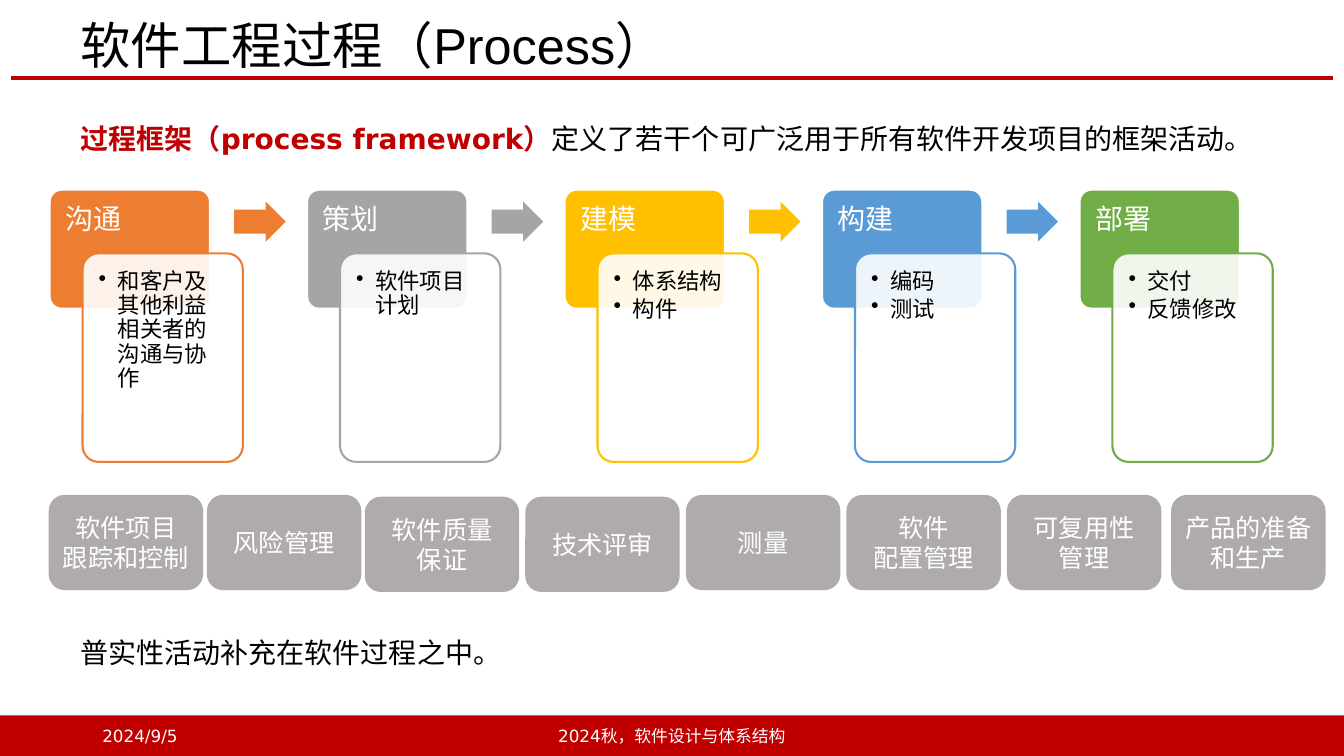
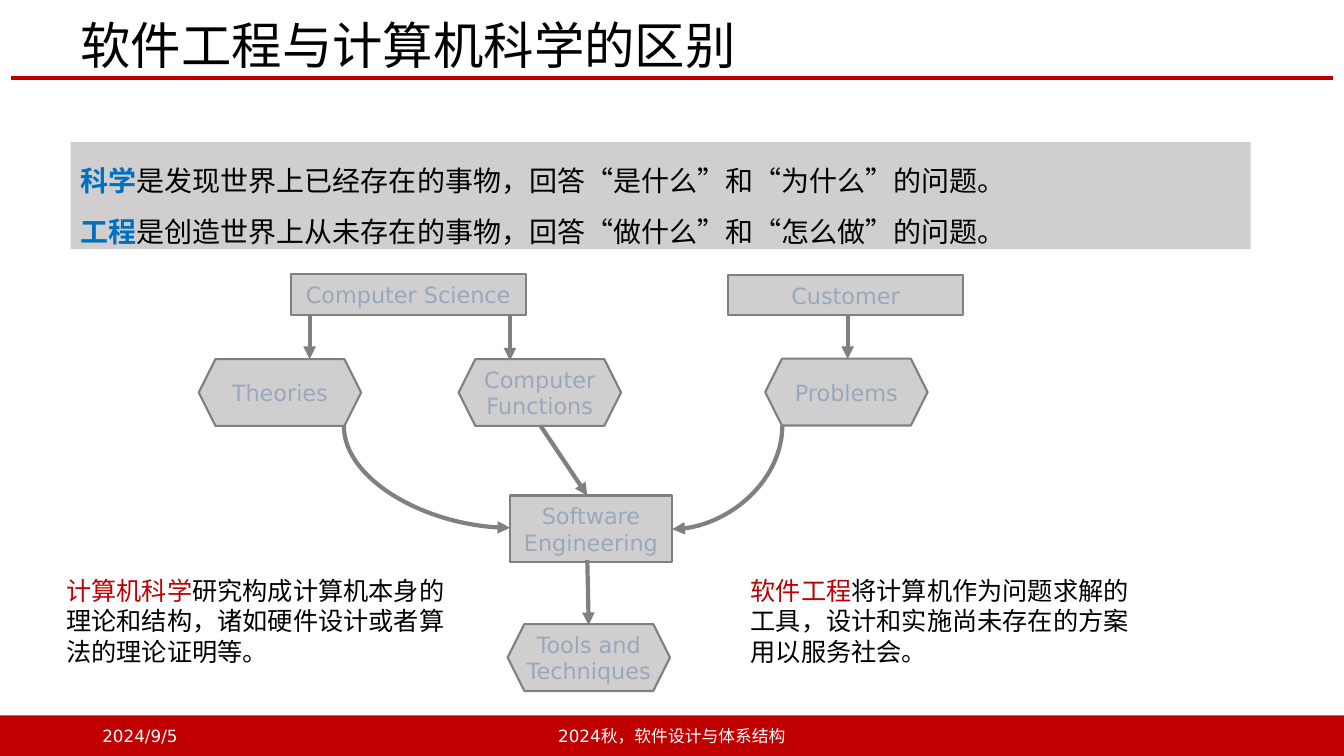
from lxml.etree import SubElement
from pptx import Presentation
from pptx.dml.color import RGBColor
from pptx.enum.shapes import MSO_CONNECTOR, MSO_SHAPE
from pptx.enum.text import MSO_ANCHOR, PP_ALIGN
from pptx.oxml.ns import qn
from pptx.util import Pt

RED, CRIMSON, BLUE = "C00000", "BE0004", "0070C0"
BLACK, WHITE = "000000", "FFFFFF"
GREY, MID_GREY, LINE_GREY, NODE_TEXT = "D0CECE", "AFABAB", "808080", "99A8BD"
SANS, ARIAL = "DejaVu Sans", "Arial"
INSETS = (7.2, 3.6, 7.2, 3.6)
NO_INSETS = (0, 0, 0, 0)


def rgb(color):
    return RGBColor.from_string(color)


class Deck:
    """Holds the shared style and the current slide."""

    def __init__(self):
        self.prs = Presentation()
        self.prs.slide_width, self.prs.slide_height = Pt(960), Pt(540)

    def slide(self, title):
        self.s = self.prs.slides.add_slide(self.prs.slide_layouts[6])
        # Rule, footer band and title
        self.line(8, 56, 952, 56, RED)
        self.shape(MSO_SHAPE.RECTANGLE, 0, 511, 960, 29, RED)
        self.text(50.4, 13, 843, 43, [title], size=36, font=ARIAL,
                  spacing=0.9, middle=True)
        # Footer
        footer = dict(size=12, color=WHITE, middle=True)
        self.text(66, 511, 216, 29, ["2024/9/5"], **footer)
        self.text(318, 511, 324, 29, ["2024秋，软件设计与体系结构"],
                  align=PP_ALIGN.CENTER, **footer)

    def text(self, x, y, w, h, paragraphs, **style):
        box = self.s.shapes.add_textbox(Pt(x), Pt(y), Pt(w), Pt(h))
        self.fill_text(box.text_frame, paragraphs, **style)

    def fill_text(self, tf, paragraphs, size=20, color=BLACK, font=SANS,
                  align=PP_ALIGN.LEFT, spacing=None, after=None, lead=None,
                  lead_bold=False, bullet=False, middle=False, wrap=True,
                  insets=INSETS):
        """A paragraph is a string, or a pair (highlighted lead, rest)."""
        tf.word_wrap = wrap
        tf.vertical_anchor = MSO_ANCHOR.MIDDLE if middle else MSO_ANCHOR.TOP
        (tf.margin_left, tf.margin_top,
         tf.margin_right, tf.margin_bottom) = map(Pt, insets)
        for i, content in enumerate(paragraphs):
            p = tf.add_paragraph() if i else tf.paragraphs[0]
            if bullet:
                pPr = p._p.get_or_add_pPr()
                pPr.set("marL", str(Pt(13.7)))
                pPr.set("indent", str(-Pt(13.7)))
                SubElement(pPr, qn("a:buChar"), char="•")
            p.alignment = align
            if spacing:
                p.line_spacing = spacing
            if after:
                p.space_after = Pt(after)
            has_lead = isinstance(content, tuple)
            for part in content if has_lead else (content,):
                p.add_run().text = part
            for r in p.runs:
                r.font.size, r.font.name = Pt(size), font
                r.font.color.rgb = rgb(color)
            if has_lead:
                p.runs[0].font.color.rgb = rgb(lead)
                p.runs[0].font.bold = lead_bold

    def shape(self, kind, x, y, w, h, fill, line=None, adjust=(), alpha=None):
        sp = self.s.shapes.add_shape(kind, Pt(x), Pt(y), Pt(w), Pt(h))
        sp.shadow.inherit = False
        sp.fill.solid()
        sp.fill.fore_color.rgb = rgb(fill)
        if alpha:
            clr = sp._element.spPr.find(qn("a:solidFill"))[0]
            SubElement(clr, qn("a:alpha"), val=str(alpha * 1000))
        if line:
            sp.line.color.rgb = rgb(line)
            sp.line.width = Pt(1.5)
        else:
            sp.line.fill.background()
        for i, value in enumerate(adjust):
            sp.adjustments[i] = value
        return sp

    def label(self, kind, x, y, w, h, lines, fill, color, size, line=None):
        sp = self.shape(kind, x, y, w, h, fill, line)
        self.fill_text(sp.text_frame, lines, size=size, color=color,
                       align=PP_ALIGN.CENTER, middle=True, wrap=False,
                       insets=NO_INSETS)

    def line(self, x1, y1, x2, y2, color, arrow=False,
             kind=MSO_CONNECTOR.STRAIGHT):
        c = self.s.shapes.add_connector(kind, Pt(x1), Pt(y1), Pt(x2), Pt(y2))
        c.line.color.rgb = rgb(color)
        c.line.width = Pt(3)
        if arrow:
            SubElement(c.line._get_or_add_ln(), qn("a:tailEnd"),
                       type="triangle")
        SubElement(c._element.spPr, qn("a:effectLst"))
        return c

    def arrow(self, x1, y1, x2, y2):
        self.line(x1, y1, x2, y2, LINE_GREY, arrow=True)

    def curve(self, x1, y1, x2, y2):
        """Arrow that leaves downwards and arrives sideways."""
        cx, cy = (x1 + x2) / 2, (y1 + y2) / 2
        rightwards = x2 > x1
        # The unrotated box has its width and height exchanged
        dx, dy = (y2 - y1) / 2, abs(x2 - x1) / 2
        if rightwards:
            dx = -dx
        c = self.line(cx - dx, cy - dy, cx + dx, cy + dy, LINE_GREY,
                      arrow=True, kind=MSO_CONNECTOR.CURVE)
        spPr = c._element.spPr
        spPr.find(qn("a:xfrm")).set("rot", str((270 if rightwards else 90) * 60000))
        spPr.find(qn("a:prstGeom")).set("prst", "curvedConnector2")

    def card(self, x, y, color, heading, items, arrow):
        rounded = MSO_SHAPE.ROUNDED_RECTANGLE
        self.shape(rounded, x, y, 114.5, 85, color, WHITE, [0.1])
        self.text(x, y, 114.5, 46, [heading], color=WHITE, spacing=0.9,
                  after=8, insets=(11.2, 11.2, 11.2, 6))
        self.shape(rounded, x + 23.5, y + 45.5, 114.5, 149, WHITE, color,
                   [0.1], alpha=90)
        self.text(x + 26.5, y + 49, 108, 142, items, size=16, spacing=0.9,
                  after=2.5, bullet=True, insets=(8.5,) * 4)
        if arrow:
            self.shape(MSO_SHAPE.RIGHT_ARROW, x + 131.8, y + 8.5, 36.8, 28.6,
                       color, adjust=[0.6, 0.5])


def process_slide(deck):
    deck.slide("软件工程过程（Process）")
    deck.text(50.4, 83.5, 843, 31.5,
              [("过程框架（process framework）",
                "定义了若干个可广泛用于所有软件开发项目的框架活动。")],
              lead=RED, lead_bold=True)

    # Framework activities
    activities = [
        ("ED7D31", "沟通", ["和客户及其他利益相关者的沟通与协作"]),
        ("A5A5A5", "策划", ["软件项目计划"]),
        ("FFC000", "建模", ["体系结构", "构件"]),
        ("5B9BD5", "构建", ["编码", "测试"]),
        ("70AD47", "部署", ["交付", "反馈修改"]),
    ]
    for i, (color, heading, items) in enumerate(activities):
        deck.card(35.5 + 183.9 * i, 135.5, color, heading, items,
                  arrow=i < len(activities) - 1)

    # Umbrella activities
    umbrella = [
        (34.8, 353.5, ["软件项目", "跟踪和控制"]),
        (147.8, 353.5, ["风险管理"]),
        (260.6, 354.8, ["软件质量", "保证"]),
        (375.2, 354.8, ["技术评审"]),
        (490, 353.5, ["测量"]),
        (604.6, 353.5, ["软件", "配置管理"]),
        (719.3, 353.5, ["可复用性", "管理"]),
        (836.5, 353.5, ["产品的准备", "和生产"]),
    ]
    for x, y, lines in umbrella:
        deck.label(MSO_SHAPE.ROUNDED_RECTANGLE, x, y, 110.3, 68, lines,
                   MID_GREY, WHITE, 18)
    deck.text(50.4, 450.5, 843, 31.5, ["普实性活动补充在软件过程之中。"])


def difference_slide(deck):
    deck.slide("软件工程与计算机科学的区别")

    # Definitions
    sp = deck.shape(MSO_SHAPE.RECTANGLE, 50.4, 101.5, 843, 76.5, GREY)
    deck.fill_text(sp.text_frame, [
        ("科学", "是发现世界上已经存在的事物，回答“是什么”和“为什么”的问题。"),
        ("工程", "是创造世界上从未存在的事物，回答“做什么”和“怎么做”的问题。"),
    ], font=ARIAL, spacing=1.5, lead=BLUE, lead_bold=True)

    # Diagram nodes
    rect, hexagon = MSO_SHAPE.RECTANGLE, MSO_SHAPE.HEXAGON
    wide, node = (168, 28.8), (116, 47.8)
    nodes = [
        (rect, 207.6, 196, wide, ["Computer Science"]),
        (hexagon, 142, 256.5, node, ["Theories"]),
        (hexagon, 327.6, 256.5, node, ["Computer", "Functions"]),
        (rect, 520, 196.5, wide, ["Customer"]),
        (hexagon, 546.6, 256.2, node, ["Problems"]),
        (rect, 364.2, 354, node, ["Software", "Engineering"]),
        (hexagon, 362.6, 445.8, node, ["Tools and", "Techniques"]),
    ]
    for kind, x, y, size, lines in nodes:
        deck.label(kind, x, y, *size, lines, GREY, NODE_TEXT, 16, LINE_GREY)

    # Arrows
    for ends in [(221.2, 225, 221.2, 256.5), (364.3, 226, 364.3, 257.5),
                 (605.5, 225, 605.5, 256.5), (386, 304, 419.5, 354),
                 (419.5, 400, 420.5, 446.5)]:
        deck.arrow(*ends)
    deck.curve(245.6, 304.5, 364.3, 377)
    deck.curve(558.8, 304, 480.2, 378)

    # Summaries
    summaries = [
        (40.3, [("计算机科学", "研究构成计算机本身的"),
                "理论和结构，诸如硬件设计或者算", "法的理论证明等。"]),
        (529.2, [("软件工程", "将计算机作为问题求解的"),
                 "工具，设计和实施尚未存在的方案", "用以服务社会。"]),
    ]
    for x, lines in summaries:
        deck.text(x, 407.5, 294, 72.7, lines, size=18, font=ARIAL,
                  lead=CRIMSON)


def main():
    deck = Deck()
    process_slide(deck)
    difference_slide(deck)
    deck.prs.save("out.pptx")


if __name__ == "__main__":
    main()
